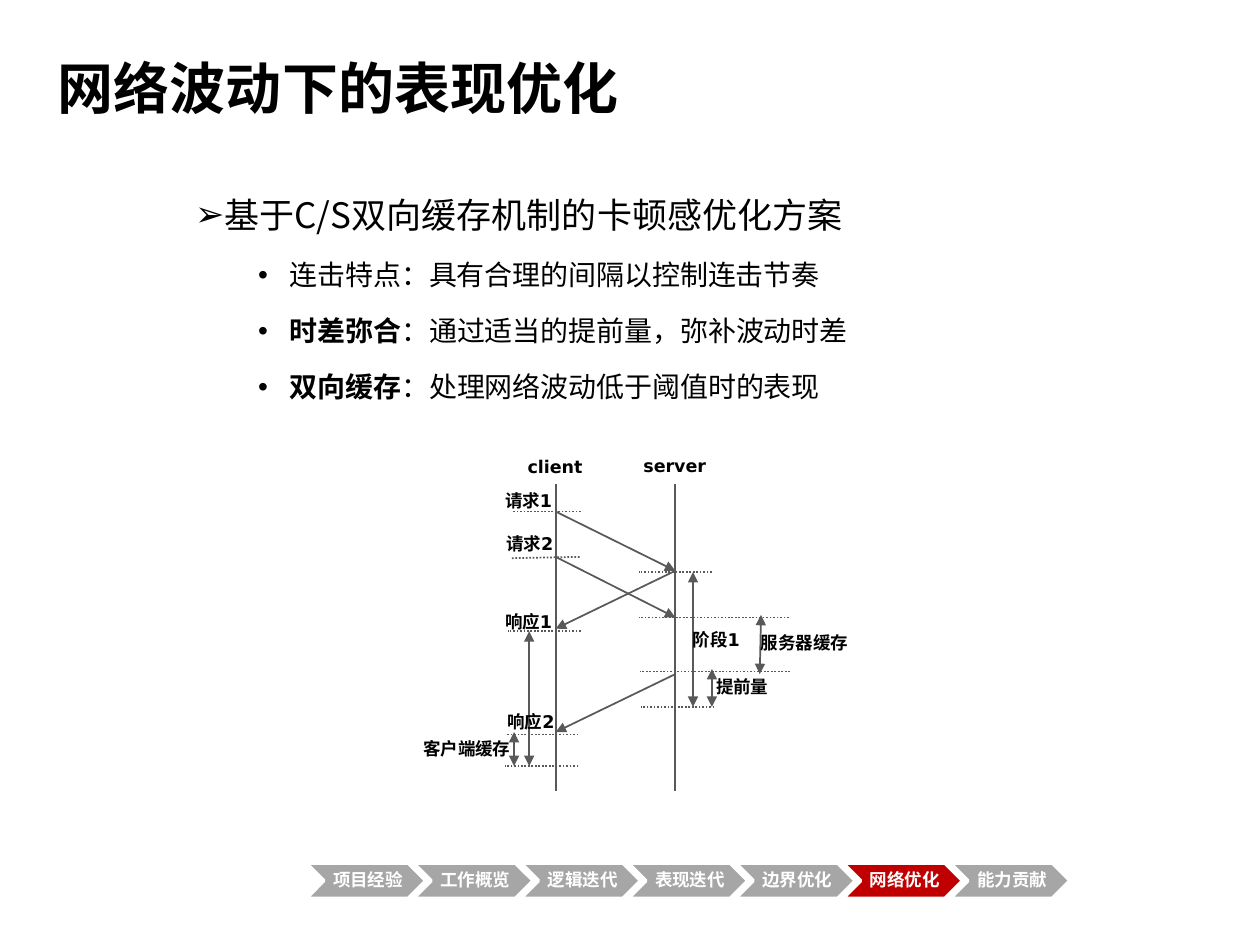
import pptx
import pptx.dml.color
import pptx.enum.dml
import pptx.enum.shapes
import pptx.enum.text
import pptx.oxml
import pptx.oxml.ns
import pptx.util

Inches = pptx.util.Inches
Pt = pptx.util.Pt
ALIGN = pptx.enum.text.PP_ALIGN
MIDDLE = pptx.enum.text.MSO_ANCHOR.MIDDLE
SHAPES = pptx.enum.shapes.MSO_SHAPE
NAMESPACE = pptx.oxml.ns.nsdecls("a")
CJK_FONT = "Noto Sans CJK SC"


def color(hex_string):
    return pptx.dml.color.RGBColor.from_string(hex_string)


def add_text(paragraph, text, size=10, font="DejaVu Sans", fill="000000",
             bold=True, align=None):
    """Add a formatted run, with the CJK font for its Chinese characters."""
    if align is not None:
        paragraph.alignment = align
    run = paragraph.add_run()
    run.text = text
    run.font.size = Pt(size)
    run.font.name = font
    run.font.bold = bold
    run.font.color.rgb = color(fill)
    run.font._element.append(
        pptx.oxml.parse_xml(f'<a:ea {NAMESPACE} typeface="{CJK_FONT}"/>'))


presentation = pptx.Presentation()
presentation.slide_width = Inches(10)
presentation.slide_height = Inches(7.5)
slide = presentation.slides.add_slide(presentation.slide_layouts[5])

# Title
title = slide.shapes.title
title.left, title.top = Inches(0.36), Inches(0.23)
title.width, title.height = Inches(6.57), Inches(0.92)
title.text_frame.vertical_anchor = MIDDLE
add_text(title.text_frame.paragraphs[0], "网络波动下的表现优化",
         size=32, font=CJK_FONT, align=ALIGN.LEFT)

# Bullets: level, bullet, left margin, hanging indent, size, (text, bold) runs
bullets = [
    (1, "➢", 0, 0, 20, [("基于C/S双向缓存机制的卡顿感优化方案", False)]),
    (2, "•", 0.75, -0.25, 16, [("连击特点：具有合理的间隔以控制连击节奏", False)]),
    (2, "•", 0.75, -0.25, 16,
     [("时差弥合", True), ("：通过适当的提前量，弥补波动时差", False)]),
    (2, "•", 0.75, -0.25, 16,
     [("双向缓存", True), ("：处理网络波动低于阈值时的表现", False)]),
]
body = slide.shapes.add_textbox(Inches(1.45), Inches(1.32), Inches(5.51), Inches(2.24))
body.text_frame.word_wrap = True
for index, (level, bullet, margin, indent, size, runs) in enumerate(bullets):
    if index == 0:
        paragraph = body.text_frame.paragraphs[0]
    else:
        paragraph = body.text_frame.add_paragraph()
    paragraph.level = level
    paragraph.line_spacing = 1.5
    paragraph.space_before = Pt(size * 0.2)
    properties = paragraph._p.get_or_add_pPr()
    properties.set("marL", str(Inches(margin)))
    properties.set("indent", str(Inches(indent)))
    properties.append(pptx.oxml.parse_xml(f'<a:buFont {NAMESPACE} typeface="Arial"/>'))
    properties.append(pptx.oxml.parse_xml(f'<a:buChar {NAMESPACE} char="{bullet}"/>'))
    for text, bold in runs:
        add_text(paragraph, text, size=size, font=CJK_FONT, bold=bold)

# Sequence diagram: start x, start y, end x, end y
client, server = 4.41, 5.36
lifelines = [(x, 3.84, x, 6.28) for x in (client, server)]
messages = [
    (client, 4.06, server, 4.53),
    (server, 4.53, client, 4.99),
    (client, 4.42, server, 4.9),
    (server, 5.35, client, 5.81),
]
time_marks = [
    (4.61, 4.06, 4.07, 4.06),
    (4.6, 4.42, 4.06, 4.43),
    (4.61, 5.01, 4.03, 5.01),
    (4.59, 5.83, 4.02, 5.83),
    (4.59, 6.08, 4.01, 6.08),
    (5.65, 4.54, 5.07, 4.54),
    (6.26, 4.9, 5.07, 4.9),
    (6.27, 5.33, 5.08, 5.33),
    (5.67, 5.61, 5.09, 5.61),
]
durations = [
    (5.5, 4.54, 5.5, 5.61),
    (5.65, 5.31, 5.65, 5.61),
    (6.04, 4.88, 6.03, 5.35),
    (4.2, 5.01, 4.2, 6.08),
    (4.08, 5.81, 4.08, 6.08),
]
line_styles = [
    (lifelines, False, []),
    (messages, False, ["tailEnd"]),
    (time_marks, True, []),
    (durations, False, ["headEnd", "tailEnd"]),
]
for lines, dotted, arrowheads in line_styles:
    for points in lines:
        connector = slide.shapes.add_connector(
            pptx.enum.shapes.MSO_CONNECTOR.STRAIGHT, *map(Inches, points))
        connector.line.color.rgb = color("595959")
        connector.line.width = Pt(1)
        if dotted:
            connector.line.dash_style = pptx.enum.dml.MSO_LINE.ROUND_DOT
        for end in arrowheads:
            connector.line._get_or_add_ln().append(
                pptx.oxml.parse_xml(f'<a:{end} {NAMESPACE} type="triangle"/>'))
        connector._element.spPr.append(
            pptx.oxml.parse_xml(f"<a:effectLst {NAMESPACE}/>"))

# Diagram labels: text, left, top, width
labels = [
    ("client", 4.05, 3.57, 0.71),
    ("server", 5, 3.56, 0.71),
    ("请求1", 3.84, 3.84, 0.71),
    ("请求2", 3.85, 4.18, 0.71),
    ("响应1", 3.84, 4.8, 0.71),
    ("响应2", 3.86, 5.59, 0.71),
    ("阶段1", 5.33, 4.94, 0.71),
    ("提前量", 5.55, 5.32, 0.68),
    ("服务器缓存", 5.92, 4.97, 0.93),
    ("客户端缓存", 3.24, 5.81, 0.93),
]
for text, left, top, width in labels:
    label = slide.shapes.add_textbox(
        Inches(left), Inches(top), Inches(width), Inches(0.27))
    label.text_frame.word_wrap = False
    label.text_frame.auto_size = pptx.enum.text.MSO_AUTO_SIZE.SHAPE_TO_FIT_TEXT
    add_text(label.text_frame.paragraphs[0], text, align=ALIGN.CENTER)

# Section navigation
sections = ["项目经验", "工作概览", "逻辑迭代", "表现迭代", "边界优化", "网络优化", "能力贡献"]
current_section = "网络优化"
for index, section in enumerate(sections):
    chevron = slide.shapes.add_shape(
        SHAPES.CHEVRON, Inches(2.43 + index * 0.852), Inches(6.85),
        Inches(0.95), Inches(0.28))
    chevron.shadow.inherit = False
    chevron.fill.solid()
    chevron.fill.fore_color.rgb = color(
        "C00000" if section == current_section else "A6A6A6")
    chevron.line.color.rgb = color("FFFFFF")
    chevron.line.width = Pt(2)
    frame = chevron.text_frame
    frame.word_wrap = False
    frame.vertical_anchor = MIDDLE
    frame.margin_left = Inches(0.04)
    frame.margin_right = frame.margin_top = frame.margin_bottom = Inches(0.01)
    frame.paragraphs[0].line_spacing = 0.9
    add_text(frame.paragraphs[0], section, font="Times New Roman",
             fill="FFFFFF", align=ALIGN.CENTER)

presentation.save("out.pptx")
